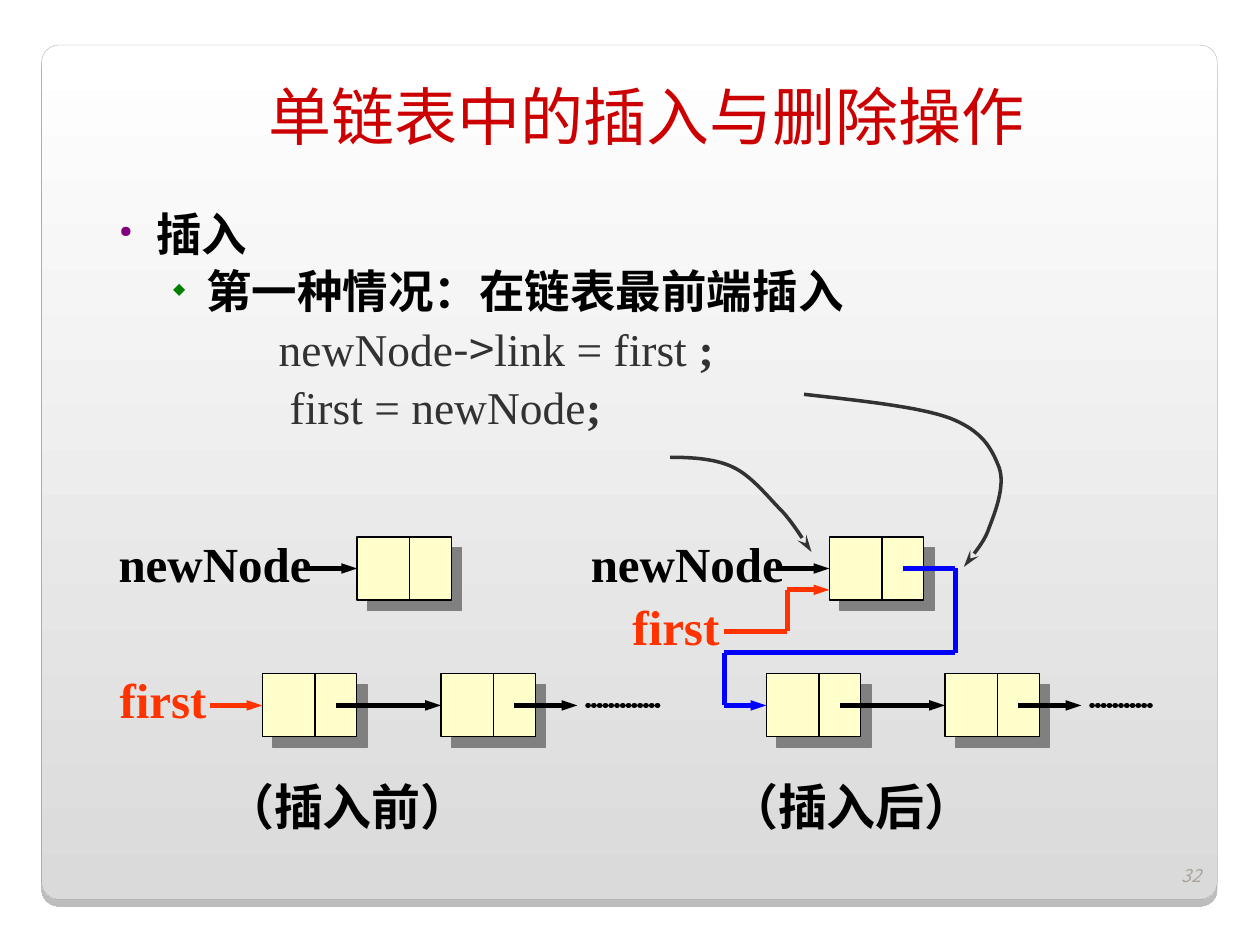
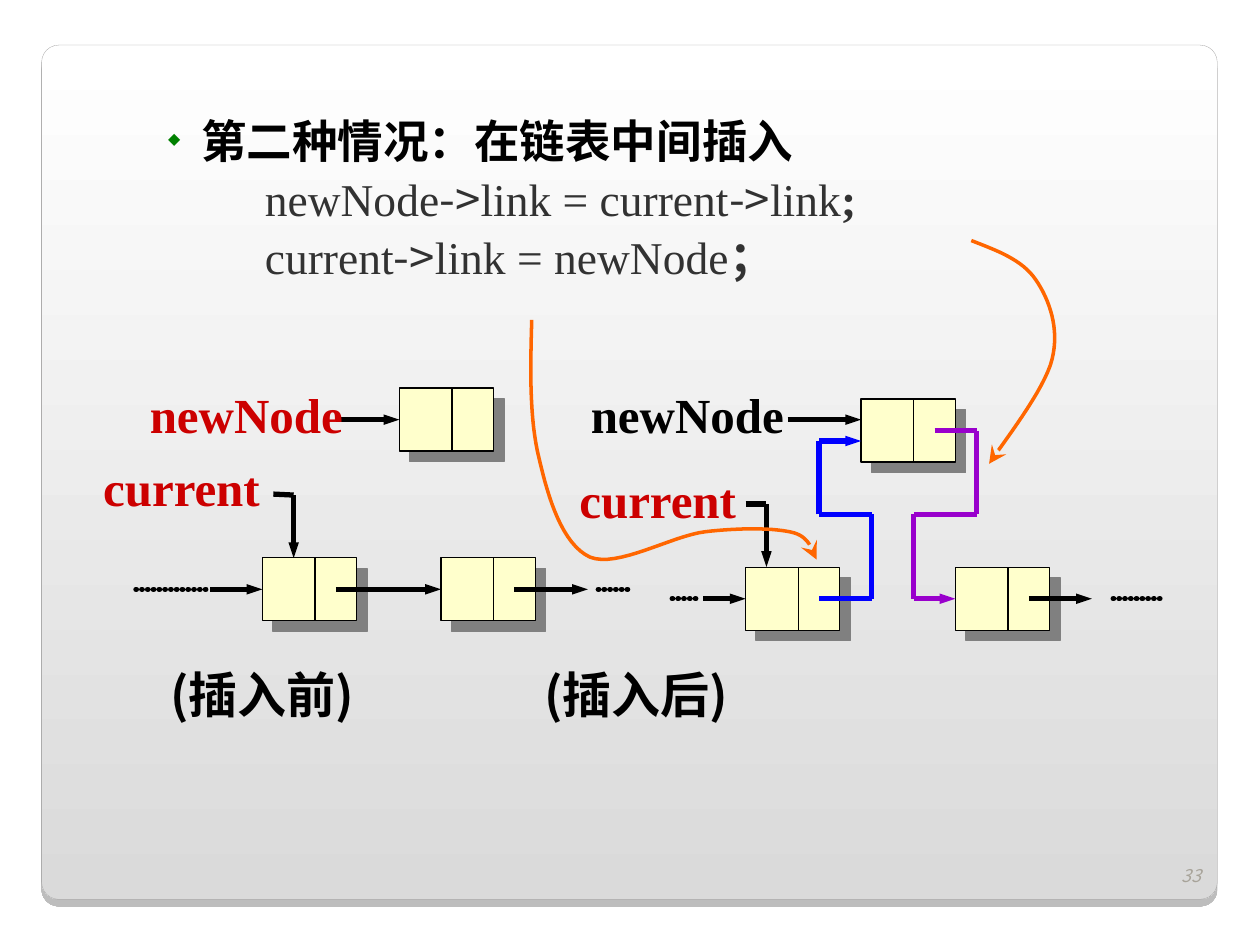
import dataclasses

import pptx
import pptx.dml.color
import pptx.enum.dml
import pptx.enum.shapes
import pptx.enum.text
import pptx.oxml
import pptx.oxml.ns
import pptx.util

Cm = pptx.util.Cm
Pt = pptx.util.Pt
ALIGN = pptx.enum.text.PP_ALIGN
ANCHOR = pptx.enum.text.MSO_ANCHOR
SHAPE = pptx.enum.shapes.MSO_SHAPE


@dataclasses.dataclass(frozen=True)
class Theme:
    black: str = "000000"
    code: str = "323232"
    red: str = "CC0000"
    flame: str = "FF3300"
    blue: str = "0000FF"
    violet: str = "9900CC"
    orange: str = "FF6600"
    node: str = "FFFFCC"
    shade: str = "808080"
    top: str = "FFFFFF"
    base: str = "DADADA"
    edge: str = "A4A3A3"
    page: str = "A7A399"
    dot: str = "800080"
    gem: str = "008000"
    sans: str = "DejaVu Sans"
    cjk: str = "Noto Sans CJK SC"
    serif: str = "Times New Roman"
    title: int = 36
    body: int = 26
    label: int = 28
    small: int = 10
    thick: float = 3
    curve: float = 2
    thin: float = 0.75


T = Theme()
NODE_W, NODE_H, SPLIT, LINK = 1.9, 1.27, 1.06, 1.48
STEP = 3.6  # distance between neighbouring nodes of a list


def rgb(color):
    return pptx.dml.color.RGBColor.from_string(color)


def xml(parent, body):
    """Append one DrawingML element to parent."""
    tag, rest = body.split(" ", 1)
    names = pptx.oxml.ns.nsdecls("a")
    parent.append(pptx.oxml.parse_xml(f"<a:{tag} {names} {rest}"))


# --- text ---

def put(par, text, font=T.serif, size=T.label, color=T.black,
        bold=False, italic=False):
    """Add a run; Chinese glyphs are always sans."""
    run = par.add_run()
    run.text = text
    run.font.name = font
    run.font.size = Pt(size)
    run.font.bold = bold
    run.font.italic = italic
    run.font.color.rgb = rgb(color)
    xml(run.font._element, f'ea typeface="{T.cjk}"/>')


def box(slide, x, y, w, h, wrap=True, anchor=ANCHOR.TOP):
    frame = slide.shapes.add_textbox(Cm(x), Cm(y), Cm(w), Cm(h)).text_frame
    frame.word_wrap = wrap
    frame.vertical_anchor = anchor
    return frame


def label(slide, text, x, y, **form):
    par = box(slide, x, y, 6.5, 1.45, wrap=False).paragraphs[0]
    par.alignment = ALIGN.LEFT
    par.line_spacing = Pt(34)
    put(par, text, bold=True, **form)


def line(frame, runs, left, hang=0, mark=None, tint=None):
    """Add a body line from (text, format) pairs, with an optional bullet."""
    first = not frame.paragraphs[0].runs
    par = frame.paragraphs[0] if first else frame.add_paragraph()
    props = par._p.get_or_add_pPr()
    props.set("marL", str(Cm(left)))
    props.set("indent", str(-Cm(hang)))
    if mark:
        xml(props, f'buClr ><a:srgbClr val="{tint}"/></a:buClr>')
        xml(props, 'buSzPct val="35000"/>')
        xml(props, f'buChar char="{mark}"/>')
    par.line_spacing = Pt(33)
    for text, form in runs:
        put(par, text, **{"size": T.body, **form})


def case(frame, text, font):
    line(frame, [(text, dict(font=font, bold=True))], 1.75, 0.67, "◆", T.gem)


def code(frame, text, left, end):
    """Add a code line: arrows in the CJK font, the end mark in bold."""
    runs = []
    for i, part in enumerate(text.split("->")):
        if i:
            runs.append(("->", dict(font=T.cjk, color=T.code)))
        runs.append((part, dict(color=T.code)))
    line(frame, runs + [(end, dict(color=T.code, bold=True))], left)


# --- shapes and lines ---

def shadow(shape, color, alpha, dist, angle):
    shape.shadow.inherit = False
    effects = shape.element.spPr.find(pptx.oxml.ns.qn("a:effectLst"))
    xml(effects, f'outerShdw dist="{Pt(dist)}" dir="{angle * 60000}" '
        f'algn="ctr" rotWithShape="0"><a:srgbClr val="{color}">'
        f'<a:alpha val="{alpha * 1000}"/></a:srgbClr></a:outerShdw>')


def stroke(shape, color, width):
    """Style the line of a shape and return its XML element."""
    shape.line.color.rgb = rgb(color)
    shape.line.width = Pt(width)
    return shape.element.spPr.find(pptx.oxml.ns.qn("a:ln"))


def link(slide, start, end, color=T.black, width=T.thick,
         head=False, dots=False):
    ends = [Cm(v) for v in (*start, *end)]
    kind = pptx.enum.shapes.MSO_CONNECTOR.STRAIGHT
    shape = slide.shapes.add_connector(kind, *ends)
    ln = stroke(shape, color, width)
    if dots:
        ln.set("cap", "rnd")
        xml(ln, 'custDash ><a:ds d="10000" sp="100000"/></a:custDash>')
    if head:
        xml(ln, 'tailEnd type="triangle" w="sm" len="med"/>')
    xml(shape.element.spPr, "effectLst />")


def wire(slide, *points, color=T.black):
    """Join points by straight lines, with an arrowhead on the last."""
    pairs = list(zip(points, points[1:]))
    for start, end in pairs:
        link(slide, start, end, color, head=end is points[-1])


def curve(slide, color, *points, head="med"):
    """Draw cubic curves through start, control, control, end, ..."""
    path = []
    for i in range(0, len(points) - 1, 3):
        for n in range(1, 17):
            t = n / 16
            mix = ((1 - t) ** 3, 3 * t * (1 - t) ** 2,
                   3 * t * t * (1 - t), t ** 3)
            path.append(tuple(
                Cm(sum(m * p[axis] for m, p in zip(mix, points[i:i + 4])))
                for axis in (0, 1)))
    x, y = points[0]
    pen = slide.shapes.build_freeform(Cm(x), Cm(y))
    pen.add_line_segments(path, close=False)
    shape = pen.convert_to_shape()
    shape.shadow.inherit = False
    shape.fill.background()
    ln = stroke(shape, color, T.curve)
    xml(ln, f'tailEnd type="stealth" w="{head}" len="lg"/>')


def node(slide, x, mid):
    """Draw a list node with its data and link fields."""
    y = mid - NODE_H / 2
    shape = slide.shapes.add_shape(
        SHAPE.RECTANGLE, Cm(x), Cm(y), Cm(NODE_W), Cm(NODE_H))
    shape.fill.solid()
    shape.fill.fore_color.rgb = rgb(T.node)
    stroke(shape, T.black, T.thin)
    shadow(shape, T.shade, 100, 8.5, 45)
    link(slide, (x + SPLIT, y), (x + SPLIT, y + NODE_H), width=T.thin)


def chain(slide, x, mid, tail, dots):
    """Draw two linked nodes that run on into dots."""
    node(slide, x, mid)
    node(slide, x + STEP, mid)
    wire(slide, (x + LINK, mid), (x + STEP, mid))
    start = x + STEP + LINK
    wire(slide, (start, mid), (start + tail, mid))
    rest = start + tail + 0.21
    link(slide, (rest, mid), (rest + dots, mid), dots=True)


# --- slides ---

def base(deck, number):
    """Add a blank slide with the panel and the page number."""
    slide = deck.slides.add_slide(deck.slide_layouts[6])
    panel = slide.shapes.add_shape(
        SHAPE.ROUNDED_RECTANGLE, Cm(0.84), Cm(0.91), Cm(23.7), Cm(17.22))
    panel.adjustments[0] = 0.02
    panel.fill.gradient()
    panel.fill.gradient_angle = 270
    stops = zip(panel.fill.gradient_stops, (T.top, T.base), (0, 1))
    for stop, color, place in stops:
        stop.color.rgb = rgb(color)
        stop.position = place
    stroke(panel, T.edge, 0.17)
    shadow(panel, T.black, 25, 4, 90)
    par = box(slide, 23.19, 16.97, 1.27, 1.02,
              anchor=ANCHOR.BOTTOM).paragraphs[0]
    par.alignment = ALIGN.RIGHT
    put(par, str(number), font=T.cjk, size=T.small, color=T.page, italic=True)
    return slide


def front(deck):
    """Insertion at the front of the list."""
    slide = base(deck, 32)
    par = box(slide, 3.5, 1.32, 19.08, 1.9,
              anchor=ANCHOR.BOTTOM).paragraphs[0]
    par.alignment = ALIGN.CENTER
    put(par, "单链表中的插入与删除操作", font=T.sans, size=T.title, color=T.red)

    frame = box(slide, 2.16, 3.96, 22.4, 5.5)
    line(frame, [("插入", dict(font=T.sans, bold=True))],
         0.74, 0.74, "●", T.dot)
    case(frame, "第一种情况：在链表最前端插入", T.sans)
    code(frame, "newNode->link = first ", 3.21, ";")
    code(frame, "first = newNode", 3.43, ";")

    # Before and after
    upper, lower = 11.46, 14.22
    for x, text, dots in ((5.29, "（插入前）", 1.48), (15.45, "（插入后）", 1.27)):
        chain(slide, x, lower, 1.27, dots)
        label(slide, text, x - 1, 15.52)
    for x in (7.2, 16.72):
        node(slide, x, upper)
        wire(slide, (x - 1.06, upper), (x, upper))
        label(slide, "newNode", x - 5.06, 10.62)
    wire(slide, (4.24, lower), (5.29, lower), color=T.flame)
    label(slide, "first", 2.16, 13.36, color=T.flame)
    wire(slide, (14.6, 12.73), (15.87, 12.73), (15.87, 11.89),
         (16.72, 11.89), color=T.flame)
    label(slide, "first", 12.5, 11.89, color=T.flame)
    wire(slide, (18.2, upper), (19.26, upper), (19.26, 13.16),
         (14.6, 13.16), (14.6, lower), (15.45, lower), color=T.blue)

    # Code lines to the links they set
    curve(slide, T.code, (16.21, 7.95), (17.35, 8.08), (18.52, 8.2),
          (19.15, 8.43), (19.81, 8.69), (19.99, 9.04), (20.14, 9.42),
          (20.27, 9.78), (20.07, 10.31), (19.94, 10.64), (19.84, 10.97),
          (19.51, 11.3), (19.43, 11.43))
    curve(slide, T.code, (13.51, 9.22), (13.97, 9.22), (14.43, 9.25),
          (14.78, 9.42), (15.16, 9.6), (15.49, 10.03), (15.77, 10.31),
          (16.03, 10.59), (16.26, 11), (16.36, 11.13))


def middle(deck):
    """Insertion in the middle of the list."""
    slide = base(deck, 33)
    frame = box(slide, 2.06, 2.1, 22.4, 4.5)
    case(frame, "第二种情况：在链表中间插入", T.serif)
    code(frame, "newNode->link = current->link", 3.03, ";")
    code(frame, "current->link = newNode", 3.03, "；")
    label(slide, "(插入前)", 3.18, 13.25, font=T.cjk)
    label(slide, "(插入后)", 10.72, 13.25, font=T.cjk)

    # Before
    fresh, row = 8.46, 11.88
    node(slide, 8.05, fresh)
    wire(slide, (6.78, fresh), (8.05, fresh))
    label(slide, "newNode", 2.77, 7.62, color=T.red)
    chain(slide, 5.29, row, 1.48, 0.6)
    link(slide, (2.74, row), (4.24, row), dots=True)
    wire(slide, (4.24, row), (5.29, row))
    wire(slide, (5.51, 9.96), (5.92, 9.98), (5.92, 11.25))
    label(slide, "current", 1.83, 9.09, color=T.red)

    # After
    fresh, row = 8.68, 12.07
    node(slide, 17.36, fresh)
    for x in (15.03, 19.26):
        node(slide, x, row)
    wire(slide, (15.88, 8.46), (17.36, 8.46))
    label(slide, "newNode", 11.66, 7.62)
    link(slide, (13.55, row), (14.1, row), dots=True)
    wire(slide, (14.18, row), (15.03, row))
    wire(slide, (20.74, row), (22.01, row))
    link(slide, (22.44, row), (23.4, row), dots=True)
    wire(slide, (15.03, 10.16), (15.45, 10.16), (15.45, 11.43))
    label(slide, "current", 11.43, 9.32, color=T.red)
    wire(slide, (18.84, fresh), (19.69, fresh), (19.69, 10.37),
         (18.42, 10.37), (18.42, row), (19.26, row), color=T.violet)
    wire(slide, (16.51, row), (17.57, row), (17.57, 10.37),
         (16.51, 10.37), (16.51, 8.89), (17.36, 8.89), color=T.blue)

    # Code lines to the links they set
    curve(slide, T.orange, (19.58, 4.85), (20.09, 5.05), (20.6, 5.23),
          (20.88, 5.64), (21.16, 6.05), (21.36, 6.63), (21.21, 7.24),
          (21.06, 7.87), (20.17, 8.99), (19.94, 9.35), head="lg")
    curve(slide, T.orange, (10.72, 6.45), (10.69, 7.44), (10.67, 8.46),
          (10.87, 9.25), (11.05, 10.03), (11.33, 10.97), (11.89, 11.23),
          (12.45, 11.46), (13.54, 10.8), (14.22, 10.72), (14.91, 10.64),
          (15.62, 10.64), (16, 10.74), (16.38, 10.85), (16.38, 11.2),
          (16.46, 11.28), head="lg")


def main():
    deck = pptx.Presentation()
    deck.slide_width, deck.slide_height = Cm(25.4), Cm(19.05)
    front(deck)
    middle(deck)
    deck.save("out.pptx")


if __name__ == "__main__":
    main()
